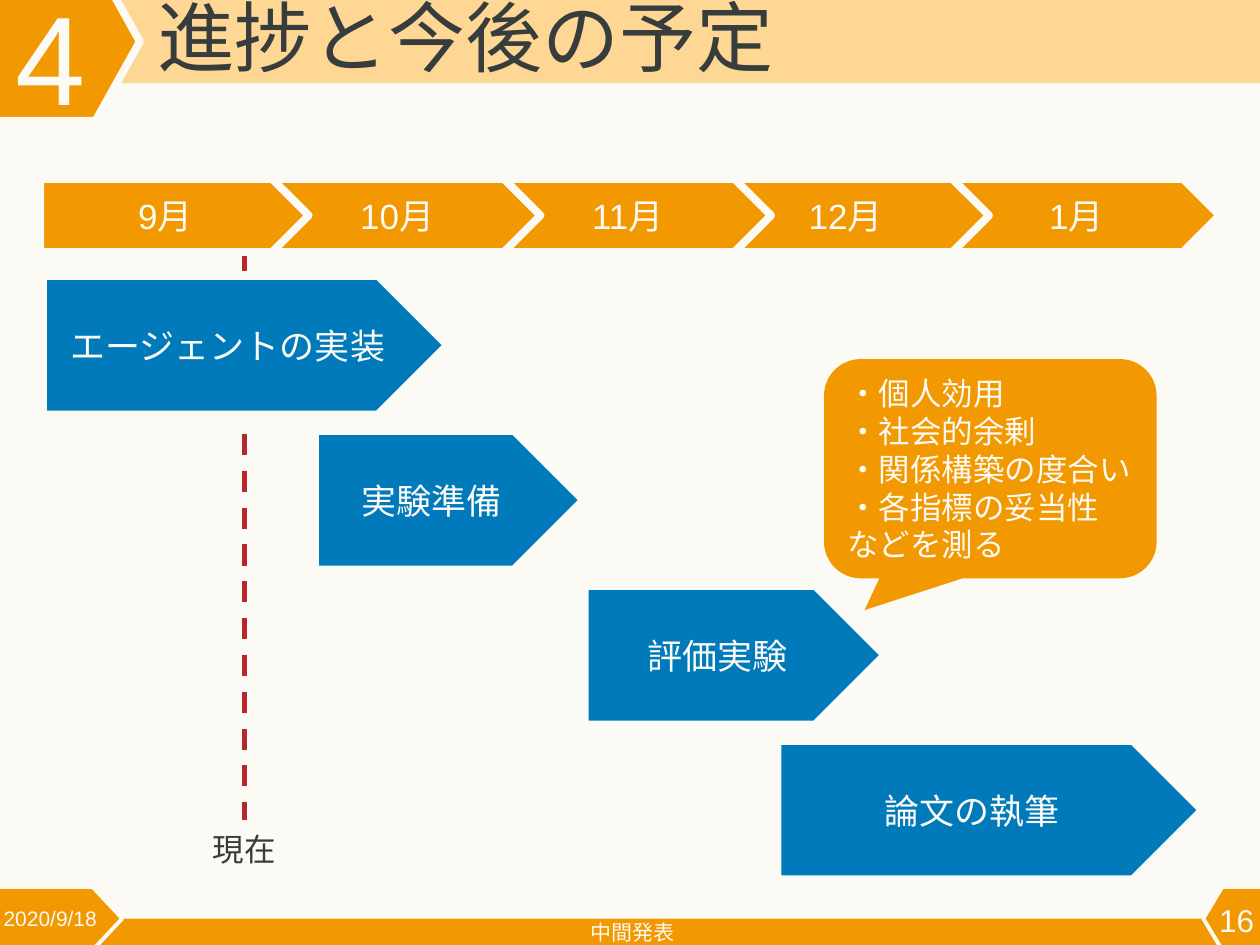
from lxml import etree
from pptx import Presentation
from pptx import util as u
from pptx.dml.color import RGBColor
from pptx.enum import dml, shapes, text
from pptx.oxml import ns

ORANGE, PALE, BLUE = "F29800", "FFD794", "007ABB"
RED, INK, PAPER = "B7282D", "373C3C", "FBFAF4"
KINDS = shapes.MSO_SHAPE
LEFT, CENTER = text.PP_ALIGN.LEFT, text.PP_ALIGN.CENTER
TOP, MIDDLE = text.MSO_ANCHOR.TOP, text.MSO_ANCHOR.MIDDLE


def color(value):
    """Turn a hex string into a colour."""
    return RGBColor.from_string(value)


def inches(values):
    """Turn a row of numbers into lengths."""
    return [u.Inches(value) for value in values]


def write(box, lines, size, ink=PAPER, align=CENTER, anchor=MIDDLE, spacing=None, wrap=True):
    """Write paragraphs of one style into a shape."""
    frame = box.text_frame
    frame.word_wrap = wrap
    frame.vertical_anchor = anchor
    frame.text = "\n".join(lines)
    for para in frame.paragraphs:
        para.alignment = align
        para.line_spacing = spacing
        para.font.name = "Arial"
        para.font.size = u.Pt(size)
        para.font.color.rgb = color(ink)


def add_block(page, kind, place, fill, border=0, adjustments=()):
    """Add a filled shape, with a paper-coloured border if it has a width."""
    block = page.shapes.add_shape(kind, *inches(place))
    block.shadow.inherit = False
    block.fill.solid()
    block.fill.fore_color.rgb = color(fill)
    if border:
        block.line.color.rgb = color(PAPER)
        block.line.width = u.Pt(border)
    else:
        block.line.fill.background()
    for index, value in enumerate(adjustments):
        block.adjustments[index] = value
    return block


def add_label(page, place, label, size, **style):
    """Add a text box with one paragraph."""
    write(page.shapes.add_textbox(*inches(place)), [label], size, **style)


def add_arrow(page, place, fill, label):
    """Add a labelled pentagon arrow."""
    write(add_block(page, KINDS.PENTAGON, place, fill, 4.5), [label], 20)


def add_today_line(page):
    """Add the dashed line that marks the present."""
    line = page.shapes.add_connector(
        shapes.MSO_CONNECTOR.STRAIGHT, *inches((1.94, 1.4, 1.94, 6.51)))
    line.line.color.rgb = color(RED)
    line.line.width = u.Pt(3)
    line.line.dash_style = dml.MSO_LINE.DASH
    etree.SubElement(line._element.spPr, ns.qn("a:effectLst"))


def add_frame(page):
    """Add the header and footer bands with their hexagons."""
    add_block(page, KINDS.RECTANGLE, (-0.04, -0.01, 10.08, 0.67), PALE)
    add_block(page, KINDS.RECTANGLE, (0, 7.29, 10, 0.22), ORANGE)
    for place, border, slant in (
        ((-0.25, 7.04, 1.22, 0.5), 2.25, 0.467),
        ((9.55, 7.04, 0.62, 0.5), 2.25, 0.3),
        ((-0.43, -0.3, 1.54, 1.26), 4.5, 0.279),
    ):
        add_block(page, KINDS.HEXAGON, place, ORANGE, border, [slant])


def add_frame_labels(page):
    """Add the title, section number and footer wording."""
    add_label(page, (-0.07, 7.11, 1.09, 0.36), "2020/9/18", 12, align=LEFT)
    add_label(page, (3.33, 7.23, 3.38, 0.33), "中間発表", 12)
    add_label(page, (1.15, -0.05, 9.06, 0.68), "進捗と今後の予定", 44,
              ink=INK, align=LEFT, anchor=TOP, spacing=0.9)
    add_label(page, (-0.37, 0.02, 1.55, 1.06), "4", 72, anchor=TOP, spacing=0.8)
    add_label(page, (9.52, 7.1, 0.59, 0.4), "16", 18)


def add_schedule(page):
    """Add the month arrows, from last to first, and the task arrows."""
    months = (("1月", 7.55), ("12月", 5.72), ("11月", 3.99), ("10月", 2.16), ("9月", 0.32))
    for month, left in months:
        add_arrow(page, (left, 1.42, 2.13, 0.58), ORANGE, month)
    tasks = (("エージェントの実装", 0.34, 3.21), ("実験準備", 2.5, 2.13),
             ("評価実験", 4.64, 2.38), ("論文の執筆", 6.17, 3.37))
    for row, (task, left, width) in enumerate(tasks):
        add_arrow(page, (left, 2.19 + 1.23 * row, width, 1.1), BLUE, task)


def add_measures(page):
    """Add the callout that lists what the experiment measures."""
    callout = add_block(page, KINDS.ROUNDED_RECTANGULAR_CALLOUT, (6.54, 2.85, 2.64, 1.74),
                        ORANGE, adjustments=(-0.378, 0.645, 0.167))
    lines = ("・個人効用", "・社会的余剰", "・関係構築の度合い", "・各指標の妥当性", "などを測る")
    write(callout, lines, 18, align=LEFT)


def main():
    """Build the schedule slide."""
    deck = Presentation()
    deck.slide_width, deck.slide_height = inches((10, 7.5))
    page = deck.slides.add_slide(deck.slide_layouts[6])
    page.background.fill.solid()
    page.background.fill.fore_color.rgb = color(PAPER)
    add_frame(page)
    add_today_line(page)
    add_frame_labels(page)
    add_schedule(page)
    add_label(page, (1.59, 6.54, 0.71, 0.4), "現在", 18,
              ink=INK, align=LEFT, anchor=TOP, wrap=False)
    add_measures(page)
    deck.save("out.pptx")


if __name__ == "__main__":
    main()
